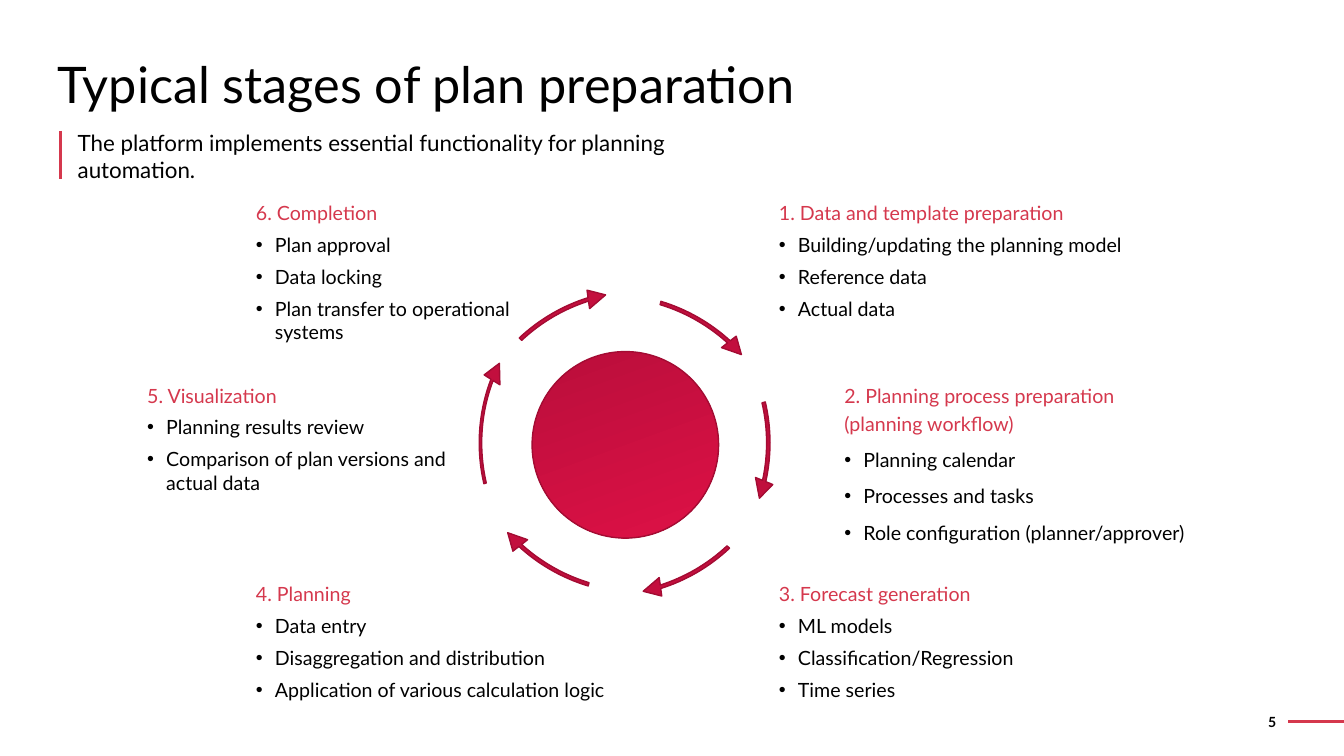
"""Build the slide on the typical stages of plan preparation."""
from dataclasses import dataclass

from lxml import etree
from pptx import Presentation
from pptx.dml.color import RGBColor
from pptx.enum.shapes import MSO_CONNECTOR, MSO_SHAPE
from pptx.enum.text import MSO_ANCHOR, MSO_AUTO_SIZE, PP_ALIGN
from pptx.oxml.ns import qn
from pptx.shapes.autoshape import Shape
from pptx.slide import Slide
from pptx.text.text import TextFrame, _Paragraph
from pptx.util import Cm, Pt

STRAIGHT = MSO_CONNECTOR.STRAIGHT
OVAL = MSO_SHAPE.OVAL
CIRCULAR_ARROW = MSO_SHAPE.CIRCULAR_ARROW
MIDDLE = MSO_ANCHOR.MIDDLE
FIT_TEXT = MSO_AUTO_SIZE.SHAPE_TO_FIT_TEXT
RIGHT = PP_ALIGN.RIGHT

FONT = "Lato"
COLORS = {
    "text": "000000",
    "accent": "D5384D",
    "grad_start": "BA0E3B",
    "grad_end": "DD1146",
    "outline": "A30C33",
}
INDENT = Cm(0.48)
ARROW_W, ARROW_H = 8.59, 7.8
ROW_TOP, ROW_MID, ROW_LOW = 4.95, 9.55, 14.55
OUTER_LEFT, INNER_LEFT, INNER_RIGHT, OUTER_RIGHT = 3.71, 6.45, 19.63, 21.28


@dataclass(frozen=True)
class Stage:
    """A heading with its bullets."""

    left: float
    top: float
    width: float
    height: float
    heading: str
    bullets: tuple[str, ...]
    fixed_spacing: bool = False


@dataclass(frozen=True)
class CycleArrow:
    """One arrow of the cycle."""

    left: float
    top: float
    rotation: int
    thickness: float = 0.011
    head_angle: float = 171.07


STAGES = (
    Stage(INNER_RIGHT, ROW_TOP, 10.34, 3.15, "1. Data and template preparation",
          ("Building/updating the planning model", "Reference data", "Actual data")),
    Stage(OUTER_RIGHT, ROW_MID, 12.32, 4.14,
          "2. Planning process preparation\n(planning workflow)",
          ("Planning calendar", "Processes and tasks",
           "Role configuration (planner/approver)"), True),
    Stage(INNER_RIGHT, ROW_LOW, 7.7, 3.15, "3. Forecast generation",
          ("ML models", "Classification/Regression", "Time series")),
    Stage(INNER_LEFT, ROW_LOW, 12.98, 3.15, "4. Planning",
          ("Data entry", "Disaggregation and distribution",
           "Application of various calculation logic")),
    Stage(OUTER_LEFT, ROW_MID, 7.57, 2.95, "5. Visualization",
          ("Planning results review", "Comparison of plan versions and actual data")),
    Stage(INNER_LEFT, ROW_TOP, 7.8, 3.76, "6. Completion",
          ("Plan approval", "Data locking", "Plan transfer to operational systems")),
)

ARROWS = (
    CycleArrow(11.46, 7.32, 30),
    CycleArrow(11.4, 7.26, 90),
    CycleArrow(11.4, 7.32, 150),
    CycleArrow(11.43, 7.24, 210),
    CycleArrow(11.48, 7.26, 270, 0.008, 177.13),
    CycleArrow(11.48, 7.21, 330),
)


def rgb(name: str) -> RGBColor:
    """Return a named colour."""
    return RGBColor.from_string(COLORS[name])


def style(p: _Paragraph, size: float, color: str = "text", bold: bool = False) -> None:
    """Format every run of a paragraph."""
    for r in p.runs:
        r.font.name = FONT
        r.font.size = Pt(size)
        r.font.bold = bold
        r.font.color.rgb = rgb(color)


def add_box(s: Slide, left: float, top: float, width: float, height: float) -> TextFrame:
    """Add a wrapping text box without insets."""
    tf = s.shapes.add_textbox(Cm(left), Cm(top), Cm(width), Cm(height)).text_frame
    tf.word_wrap = True
    tf.auto_size = FIT_TEXT
    tf.margin_left = tf.margin_right = tf.margin_top = tf.margin_bottom = 0
    return tf


def add_text(s: Slide, left: float, top: float, width: float, height: float,
             text: str, size: float) -> None:
    """Add a single paragraph of plain text."""
    tf = add_box(s, left, top, width, height)
    tf.text = text
    style(tf.paragraphs[0], size)


def add_line(s: Slide, x1: float, y1: float, x2: float, y2: float) -> None:
    """Add an accent line."""
    line = s.shapes.add_connector(STRAIGHT, Cm(x1), Cm(y1), Cm(x2), Cm(y2))
    line.line.color.rgb = rgb("accent")
    line.line.width = Pt(2)
    etree.SubElement(line._element.spPr, qn("a:effectLst"))


def add_stage(s: Slide, stage: Stage) -> None:
    """Add a stage heading and its bullet list."""
    tf = add_box(s, stage.left, stage.top, stage.width, stage.height)
    p = tf.paragraphs[0]
    p.text = stage.heading
    p.line_spacing = Pt(20)
    style(p, 14, "accent")
    for bullet in stage.bullets:
        p = tf.add_paragraph()
        p.text = bullet
        p.space_before = Pt(6)
        if stage.fixed_spacing:
            p.line_spacing = Pt(20)
        props = p._p.get_or_add_pPr()
        props.set("marL", str(INDENT))
        props.set("indent", str(-INDENT))
        etree.SubElement(props, qn("a:buFont"), typeface="Arial")
        etree.SubElement(props, qn("a:buChar"), char="•")
        style(p, 14)


def paint(shape: Shape) -> None:
    """Give a cycle shape its gradient and outline."""
    shape.shadow.inherit = False
    shape.fill.gradient()
    shape.fill.gradient_angle = 290
    for stop, name in zip(shape.fill.gradient_stops, ("grad_start", "grad_end")):
        stop.color.rgb = rgb(name)
    shape.line.color.rgb = rgb("outline")
    shape.line.width = Pt(1)


def add_arrow(s: Slide, arrow: CycleArrow) -> None:
    """Add one arrow of the cycle."""
    shape = s.shapes.add_shape(CIRCULAR_ARROW, Cm(arrow.left), Cm(arrow.top),
                               Cm(ARROW_W), Cm(ARROW_H))
    shape.rotation = arrow.rotation
    values = (arrow.thickness, 4.17, arrow.head_angle, 152.39, 0.03)
    for i, value in enumerate(values):
        shape.adjustments[i] = value
    paint(shape)


def add_page_number(s: Slide, number: str) -> None:
    """Add the page number."""
    tf = s.shapes.add_textbox(Cm(30.94), Cm(17.68), Cm(1.47), Cm(1.02)).text_frame
    tf.word_wrap = True
    tf.vertical_anchor = MIDDLE
    tf.text = number
    p = tf.paragraphs[0]
    p.alignment = RIGHT
    style(p, 10, bold=True)


def main() -> None:
    """Build and save the presentation."""
    prs = Presentation()
    prs.slide_width, prs.slide_height = Cm(33.87), Cm(19.05)
    s = prs.slides.add_slide(prs.slide_layouts[6])
    add_text(s, 1.45, 1.35, 22.76, 1.55, "Typical stages of plan preparation", 36)
    add_text(s, 1.96, 3.25, 16.13, 1.37,
             "The platform implements essential functionality for planning automation.", 16)
    add_line(s, 1.52, 3.3, 1.52, 4.52)
    for stage in STAGES:
        add_stage(s, stage)
    paint(s.shapes.add_shape(OVAL, Cm(13.41), Cm(8.86), Cm(4.7), Cm(4.7)))
    for arrow in ARROWS:
        add_arrow(s, arrow)
    add_line(s, 33.87, 18.19, 32.46, 18.19)
    add_page_number(s, "5")
    prs.save("out.pptx")


if __name__ == "__main__":
    main()
